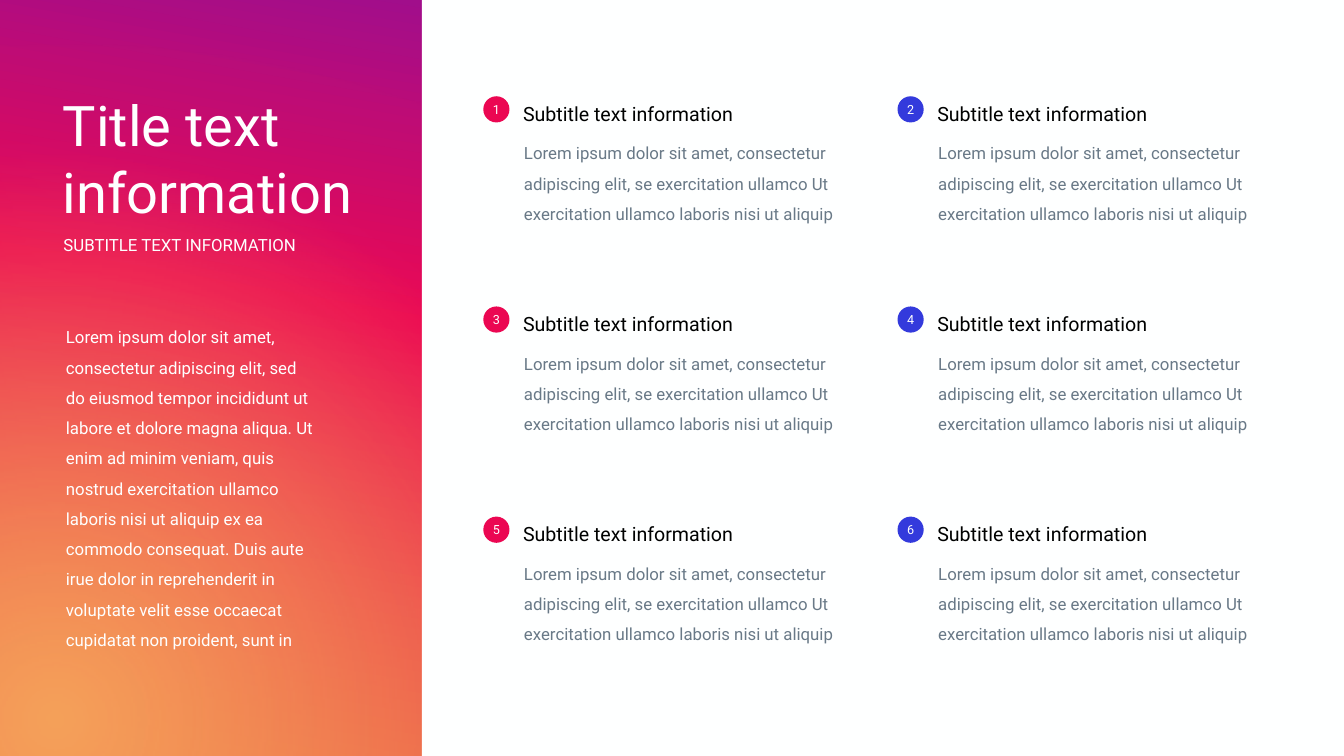
from lxml import etree
from pptx import Presentation
from pptx.dml.color import RGBColor
from pptx.enum.shapes import MSO_SHAPE
from pptx.enum.text import MSO_ANCHOR, MSO_AUTO_SIZE, PP_ALIGN
from pptx.oxml import parse_xml
from pptx.oxml.ns import nsdecls, qn
from pptx.util import Inches, Pt

RECTANGLE, OVAL = MSO_SHAPE.RECTANGLE, MSO_SHAPE.OVAL
TOP, MIDDLE = MSO_ANCHOR.TOP, MSO_ANCHOR.MIDDLE
LEFT, CENTER = PP_ALIGN.LEFT, PP_ALIGN.CENTER
NO_FIT = MSO_AUTO_SIZE.NONE

WHITE = RGBColor(0xFE, 0xFF, 0xFF)
BLACK = RGBColor(0x00, 0x01, 0x00)
GRAY = RGBColor(0x69, 0x79, 0x87)
PINK = RGBColor(0xEB, 0x07, 0x52)
BLUE = RGBColor(0x33, 0x3A, 0xDC)
CORAL = RGBColor(0xEC, 0x66, 0x46)
MAGENTA = RGBColor(0xEC, 0x07, 0x53)
PURPLE = RGBColor(0x7B, 0x11, 0xA8)
ORANGE = RGBColor(0xF5, 0xA1, 0x5A)

FONT = "Roboto"
WIDTH, HEIGHT = 26.67, 15
COLUMN_STEP, ROW_STEP = 8.22, 4.17

INTRO = (
    "Lorem ipsum dolor sit amet, consectetur adipiscing elit, sed do eiusmod "
    "tempor incididunt ut labore et dolore magna aliqua. Ut enim ad minim "
    "veniam, quis nostrud exercitation ullamco laboris nisi ut aliquip ex ea "
    "commodo consequat. Duis aute irue dolor in reprehenderit in voluptate "
    "velit esse occaecat cupidatat non proident, sunt in"
)
ITEM_TITLE = "Subtitle text information"
ITEM_TEXT = (
    "Lorem ipsum dolor sit amet, consectetur adipiscing elit, se exercitation "
    "ullamco Ut exercitation ullamco laboris nisi ut aliquip"
)


def write_text(box, text, size, color, spacing=1.0, align=LEFT, anchor=TOP,
               inset=(0.04, 0.04)):
    frame = box.text_frame
    frame.text = text
    frame.word_wrap = True
    frame.auto_size = NO_FIT
    frame.vertical_anchor = anchor
    frame.margin_left = frame.margin_right = Inches(inset[0])
    frame.margin_top = frame.margin_bottom = Inches(inset[1])
    for para in frame.paragraphs:
        para.alignment = align
        para.line_spacing = spacing
        para.font.name = FONT
        para.font.size = Pt(size)
        para.font.color.rgb = color


def add_text(page, left, top, width, height, text, size, color, **options):
    box = page.shapes.add_textbox(
        Inches(left), Inches(top), Inches(width), Inches(height))
    write_text(box, text, size, color, **options)


def add_plain_shape(page, kind, left, top, width, height, color):
    shape = page.shapes.add_shape(
        kind, Inches(left), Inches(top), Inches(width), Inches(height))
    shape.shadow.inherit = False
    shape.line.fill.background()
    shape.fill.solid()
    shape.fill.fore_color.rgb = color
    return shape


def set_gradient(shape, stops, direction):
    """Stops are (position %, colour, opacity %)."""
    gradient = parse_xml(
        f'<a:gradFill {nsdecls("a")} rotWithShape="1"><a:gsLst/>'
        f'{direction}</a:gradFill>')
    stop_list = gradient.find(qn("a:gsLst"))
    for position, color, opacity in stops:
        stop = etree.SubElement(stop_list, qn("a:gs"), pos=str(position * 1000))
        tint = etree.SubElement(stop, qn("a:srgbClr"), val=str(color))
        if opacity < 100:
            etree.SubElement(tint, qn("a:alpha"), val=str(opacity * 1000))
    properties = shape.fill._xPr
    properties.replace(properties.find(qn("a:solidFill")), gradient)


def add_backdrop(page):
    base = add_plain_shape(page, RECTANGLE, 0, 0, WIDTH, HEIGHT, MAGENTA)
    set_gradient(
        base, [(0, CORAL, 100), (51, MAGENTA, 100), (100, PURPLE, 100)],
        f'<a:lin ang="{280 * 60000}" scaled="0"/>')
    glow = add_plain_shape(page, OVAL, -16.44, 0.89, 35.11, 26.76, ORANGE)
    set_gradient(
        glow, [(0, ORANGE, 100), (51, ORANGE, 1), (100, MAGENTA, 0)],
        '<a:path path="circle"><a:fillToRect l="50000" t="50000" '
        'r="50000" b="50000"/></a:path>')
    add_plain_shape(page, RECTANGLE, 8.37, 0, WIDTH - 8.37, HEIGHT, WHITE)


def add_title(page, text):
    title = page.shapes.title
    title.left, title.top = Inches(1.21), Inches(1.75)
    title.width, title.height = Inches(6.14), Inches(4.09)
    write_text(title, text, 80, WHITE)
    # Bring the title in front of the backdrop
    page.shapes._spTree.append(title._element)


def add_item(page, number, left, top, color):
    badge = add_plain_shape(page, OVAL, left, top + 0.16, 0.52, 0.52, color)
    write_text(badge, str(number), 18, WHITE, align=CENTER, anchor=MIDDLE,
               inset=(0, 0))
    add_text(page, left + 0.75, top, 4.8, 0.87, ITEM_TITLE, 28, BLACK,
             spacing=1.5)
    add_text(page, left + 0.71, top + 0.84, 6.46, 1.92, ITEM_TEXT, 24, GRAY,
             spacing=1.5, inset=(0.1, 0.05))


def main():
    deck = Presentation()
    deck.slide_width, deck.slide_height = Inches(WIDTH), Inches(HEIGHT)
    page = deck.slides.add_slide(deck.slide_layouts[5])

    # Gradient side panel
    add_backdrop(page)
    add_title(page, "Title text\ninformation")
    add_text(page, 1.21, 6.24, 5.17, 6.7, INTRO, 24, WHITE,
             spacing=1.5, inset=(0.1, 0.05))
    add_text(page, 1.22, 4.62, 5.67, 1.07, "SUBTITLE TEXT INFORMATION",
             24, WHITE)

    # Numbered items, three rows of two
    for index in range(6):
        row, column = divmod(index, 2)
        add_item(page, index + 1, 9.59 + column * COLUMN_STEP,
                 1.75 + row * ROW_STEP, (PINK, BLUE)[column])

    deck.save("out.pptx")


main()
